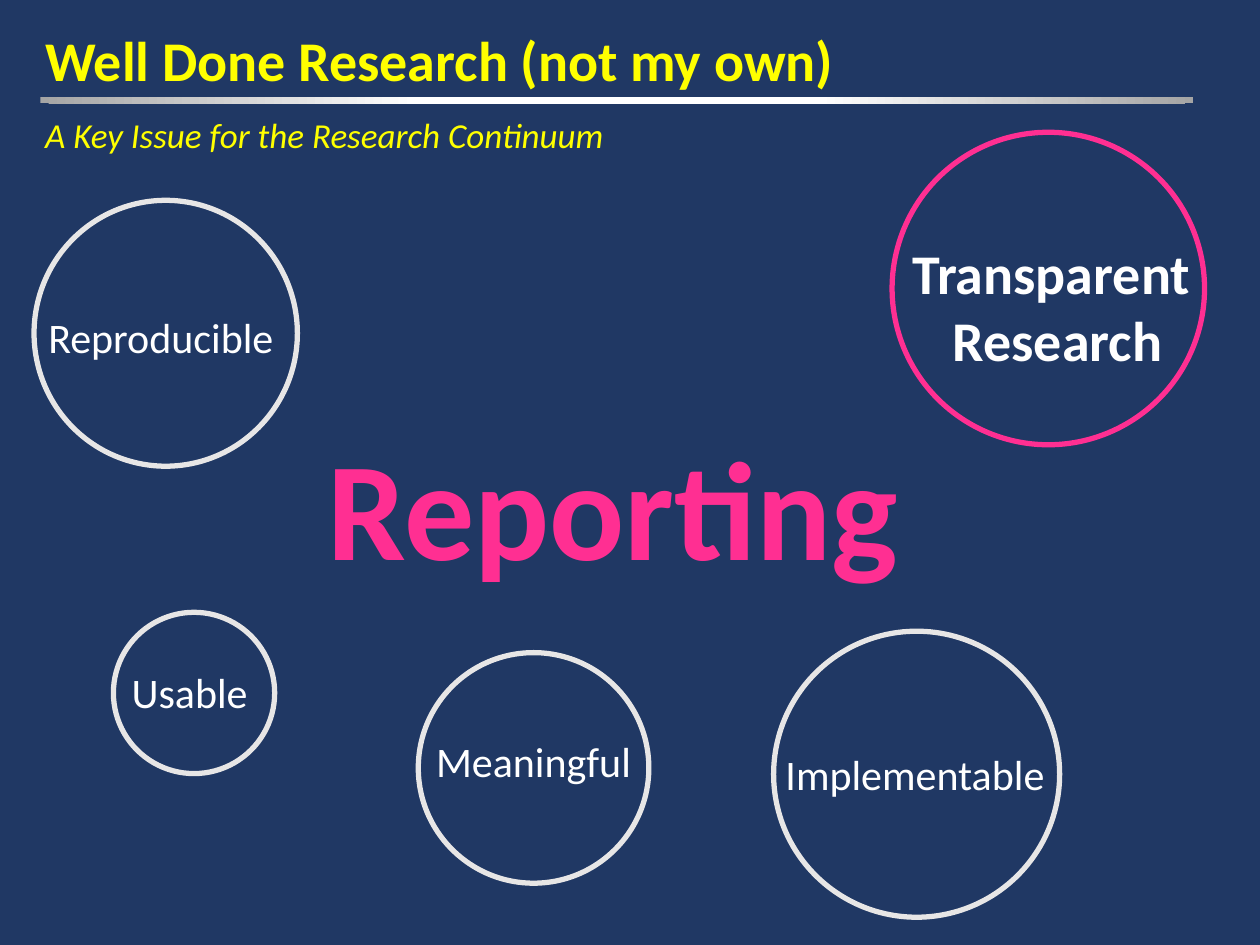
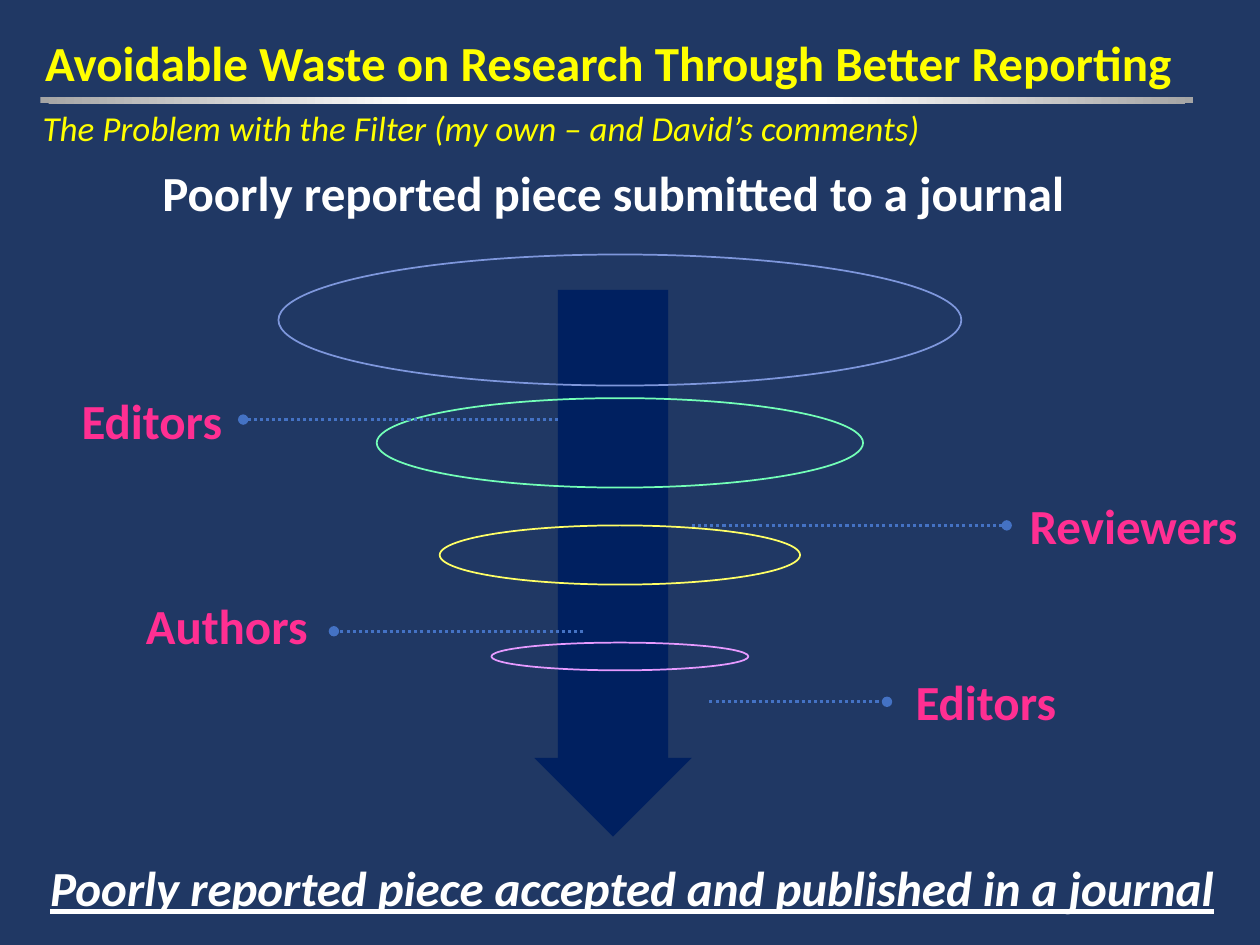
from lxml.etree import SubElement
from pptx import Presentation
from pptx.dml.color import RGBColor
from pptx.enum.dml import MSO_LINE
from pptx.enum.shapes import MSO_CONNECTOR, MSO_SHAPE
from pptx.enum.text import MSO_AUTO_SIZE, PP_ALIGN
from pptx.oxml import parse_xml
from pptx.oxml.ns import nsdecls, qn
from pptx.util import Inches, Pt

BACKGROUND = RGBColor(0x20, 0x38, 0x64)
YELLOW = RGBColor(0xFF, 0xFF, 0x00)
WHITE = RGBColor(0xFF, 0xFF, 0xFF)
PINK = RGBColor(0xFF, 0x2F, 0x92)
PALE_GRAY = RGBColor(0xE7, 0xE6, 0xE6)
NAVY = RGBColor(0x00, 0x20, 0x60)
BLUE = RGBColor(0x44, 0x72, 0xC4)
FILTER_BLUE = RGBColor(0x7E, 0x97, 0xDC)
FILTER_GREEN = RGBColor(0x73, 0xFF, 0xB8)
FILTER_YELLOW = RGBColor(0xFF, 0xFF, 0x66)
FILTER_VIOLET = RGBColor(0xE6, 0x9A, 0xFF)

RULE_GRADIENT = f"""<a:gradFill {nsdecls('a')} rotWithShape="1"><a:gsLst>
<a:gs pos="0"><a:srgbClr val="FFFFFF"/></a:gs>
<a:gs pos="35000"><a:srgbClr val="FFFFFF"/></a:gs>
<a:gs pos="100000"><a:srgbClr val="A5A5A5"/></a:gs></a:gsLst>
<a:path path="circle"><a:fillToRect l="50000" t="-80000" r="50000" b="180000"/></a:path>
</a:gradFill>"""


class Deck:
    font = "Calibri"

    def __init__(self):
        self.presentation = Presentation()
        self.presentation.slide_width = Inches(10)
        self.presentation.slide_height = Inches(7.5)
        self.slide = None

    def add_slide(self):
        self.slide = self.presentation.slides.add_slide(self.presentation.slide_layouts[6])
        fill = self.slide.background.fill
        fill.solid()
        fill.fore_color.rgb = BACKGROUND

    def text(self, content, box, size, color, align=PP_ALIGN.LEFT, wrap=True, grow=True,
             bold=False, italic=False, underline=False):
        shape = self.slide.shapes.add_textbox(*map(Inches, box))
        text_frame = shape.text_frame
        text_frame.text = content
        text_frame.word_wrap = wrap
        text_frame.auto_size = MSO_AUTO_SIZE.SHAPE_TO_FIT_TEXT if grow else MSO_AUTO_SIZE.NONE
        for paragraph in text_frame.paragraphs:
            paragraph.alignment = align
            for run in paragraph.runs:
                font = run.font
                font.name = self.font
                font.size = Pt(size)
                font.color.rgb = color
                font.bold = bold
                font.italic = italic
                font.underline = underline

    def shape(self, kind, box, fill=None, line=None, width=1):
        shape = self.slide.shapes.add_shape(kind, *map(Inches, box))
        shape.shadow.inherit = False
        if fill is None:
            shape.fill.background()
        else:
            shape.fill.solid()
            shape.fill.fore_color.rgb = fill
        if line is None:
            shape.line.fill.background()
        else:
            shape.line.color.rgb = line
            shape.line.width = Pt(width)
        return shape

    def header(self, title, title_top, size, subtitle, subtitle_left, subtitle_top):
        self.text(title, (0.26, title_top, 9.73, 1.42), size, YELLOW, grow=False, bold=True)
        rule = self.shape(MSO_SHAPE.RECTANGLE, (0.32, 0.77, 9.15, 0.05))
        properties = rule._element.spPr
        properties.replace(properties.find(qn("a:noFill")), parse_xml(RULE_GRADIENT))
        self.text(subtitle, (subtitle_left, subtitle_top, 9.73, 0.44), 20, YELLOW, italic=True)

    def dotted_line(self, start, end, y):
        connector = self.slide.shapes.add_connector(
            MSO_CONNECTOR.STRAIGHT, Inches(start), Inches(y), Inches(end), Inches(y))
        line = connector.line
        line.color.rgb = BLUE
        line.width = Pt(1.75)
        line.dash_style = MSO_LINE.ROUND_DOT
        SubElement(line._get_or_add_ln(), qn("a:tailEnd"), type="oval")
        SubElement(connector._element.spPr, qn("a:effectLst"))


def build_continuum(deck):
    deck.add_slide()
    deck.text("Transparent \nResearch", (7.13, 1.84, 2.53, 1.18), 32, WHITE,
              PP_ALIGN.CENTER, wrap=False, bold=True)
    deck.shape(MSO_SHAPE.OVAL, (7.08, 1.05, 2.48, 2.48), line=PINK, width=3)
    qualities = [
        ("Reproducible ", (0.27, 1.59, 2.09, 2.11), (0.26, 2.42, 2.11, 0.5)),
        ("Usable", (0.9, 4.86, 1.28, 1.28), (0.45, 5.24, 2.11, 0.5)),
        ("Meaningful", (3.32, 5.18, 1.83, 1.83), (3.32, 5.79, 1.83, 0.5)),
        ("Implementable ", (6.14, 5.01, 2.27, 2.27), (5.97, 5.89, 2.66, 0.5)),
    ]
    for quality, circle, label in qualities:
        deck.shape(MSO_SHAPE.OVAL, circle, BACKGROUND, PALE_GRAY, 3)
        deck.text(quality, label, 24, WHITE, PP_ALIGN.CENTER)
    deck.header("Well Done Research (not my own)", 0.15, 32,
                "A Key Issue for the Research Continuum", 0.26, 0.85)
    deck.text("Reporting", (2.5, 3.29, 4.78, 1.45), 80, PINK, wrap=False, bold=True)


def build_filter(deck):
    deck.add_slide()
    arrow = deck.shape(MSO_SHAPE.DOWN_ARROW, (4.24, 2.3, 1.25, 4.34), NAVY)
    arrow.adjustments[0] = 0.7
    arrow.adjustments[1] = 0.5
    deck.header("Avoidable Waste on Research Through Better Reporting", 0.21, 28,
                "The Problem with the Filter (my own – and David’s comments)", 0.24, 0.8)
    center = 4.92
    filters = [
        (2.02, 5.42, 1.04, FILTER_BLUE),
        (3.16, 3.86, 0.71, FILTER_GREEN),
        (4.17, 2.86, 0.47, FILTER_YELLOW),
        (5.1, 2.04, 0.22, FILTER_VIOLET),
    ]
    for top, width, height, color in filters:
        deck.shape(MSO_SHAPE.OVAL, (center - width / 2, top, width, height), line=color)
    deck.text("Poorly reported piece submitted to a journal", (1.19, 1.24, 7.45, 0.57),
              28, WHITE, wrap=False, bold=True)
    people = [
        ("Editors", (0.04, 3.05, 1.82, 0.57), 4.43, 1.93, 3.33),
        ("Reviewers", (7.76, 3.88, 2.16, 0.57), 5.49, 7.99, 4.17),
        ("Authors", (0.72, 4.68, 1.82, 0.57), 4.63, 2.65, 5.01),
        ("Editors", (6.66, 5.28, 1.82, 0.57), 5.63, 7.04, 5.57),
    ]
    for person, label, start, end, y in people:
        deck.dotted_line(start, end, y)
        deck.text(person, label, 28, PINK, PP_ALIGN.RIGHT, bold=True)
    deck.text("Poorly reported piece accepted and published in a journal",
              (0.3, 6.76, 9.62, 0.57), 28, WHITE, wrap=False,
              bold=True, italic=True, underline=True)


def main():
    deck = Deck()
    build_continuum(deck)
    build_filter(deck)
    deck.presentation.save("out.pptx")


if __name__ == "__main__":
    main()
